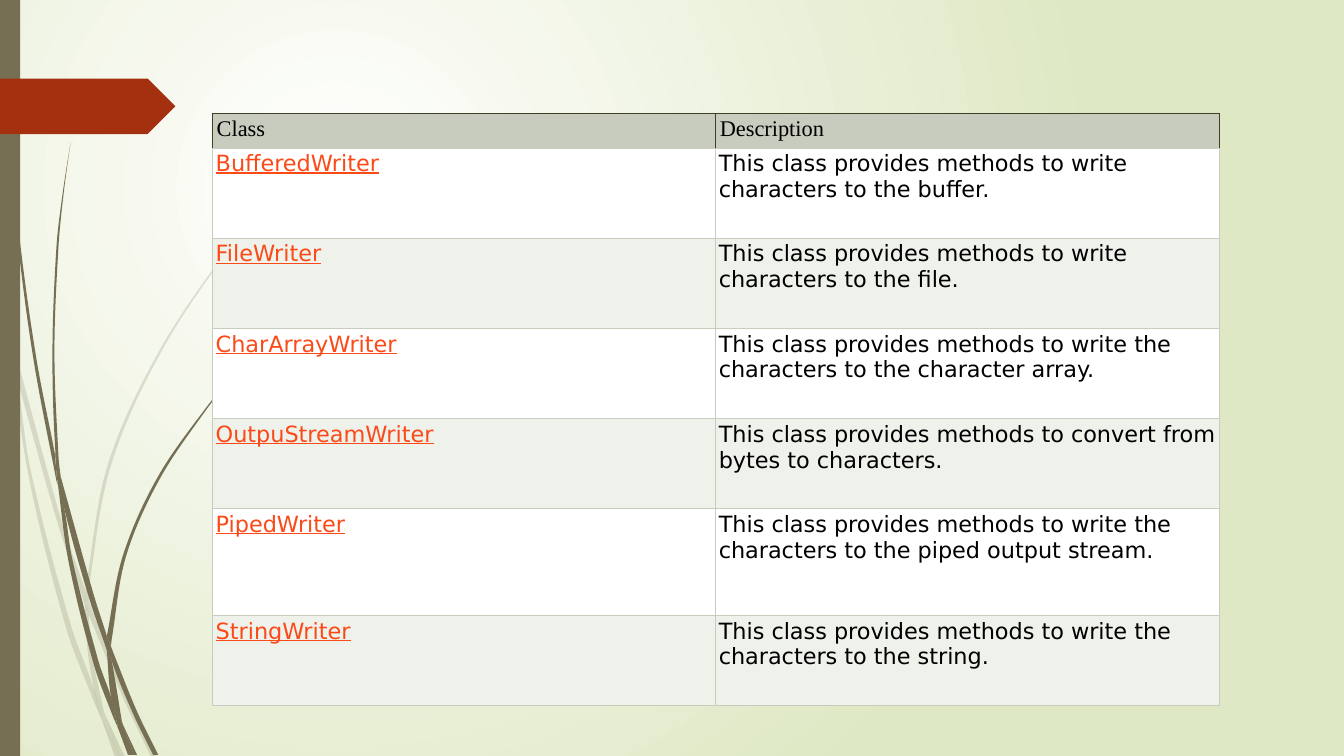
from math import hypot

from lxml.etree import SubElement
from pptx import Presentation
from pptx.dml.color import RGBColor
from pptx.enum.shapes import MSO_SHAPE
from pptx.oxml import parse_xml
from pptx.oxml.ns import nsdecls, qn
from pptx.util import Inches, Pt

OLIVE, RUST, SAGE, INK = "766F54", "A53010", "C7CCBE", "000000"
LINK, HEADER_EDGE = "FB4A18", "404025"
ROW_FILLS = ("FFFFFF", "EFF1EB")

# Each piece of grass: the points down one edge, then those back up the other.
PALE_GRASS = [
    ([(0, 2.82), (0.09, 3.22), (0.11, 3.5)], [(0.1, 3.44), (0, 2.99)]),
    ([(0.14, 3.45), (0.62, 5.2), (0.85, 5.86)], [(0.84, 5.99), (0.58, 5.22), (0.17, 3.76)]),
    ([(0.88, 5.96), (0.92, 6.07), (1.27, 6.92), (1.55, 7.51)],
     [(1.5, 7.51), (1.23, 6.94), (0.88, 6.1)]),
    ([(1.05, 7.11), (1.24, 7.51)], [(1.19, 7.51)]),
    ([(0.11, 3.5), (0.17, 3.76), (0.31, 4.69), (0.7, 6.19), (0.93, 6.83), (1.01, 7.14)],
     [(1.01, 7.14), (0.92, 6.93), (0.65, 6.21), (0.28, 4.7), (0.11, 3.5)]),
    ([(0.84, 5.99), (0.88, 6.08), (0.88, 6.1), (0.91, 6.46), (1.03, 7.06), (1.05, 7.11)],
     [(0.96, 6.92), (0.93, 6.83), (0.87, 6.46), (0.84, 5.99)]),
    ([(3.12, 1.53), (2.89, 1.75), (2.68, 1.97), (2.28, 2.44), (1.58, 3.48), (1.07, 4.61),
      (0.85, 5.84), (0.85, 5.86)],
     [(0.88, 5.96), (0.88, 5.84), (1.1, 4.62), (1.6, 3.49), (2.29, 2.45), (2.68, 1.98),
      (2.9, 1.75), (3.12, 1.54)]),
    ([(1.01, 7.14), (1.14, 7.51)], [(1.19, 7.51), (1.01, 7.14)]),
    ([(0.85, 5.86), (0.84, 5.99), (0.88, 6.08)], [(0.88, 6.1), (0.88, 5.96)]),
    ([(0.93, 6.83), (0.99, 7.07), (1.01, 7.14), (1.19, 7.51)],
     [(1.19, 7.51), (1.05, 7.11), (0.96, 6.92), (0.93, 6.83)]),
]
DARK_GRASS = [
    ([(0.03, 0), (0.04, 0.48), (0.07, 1.1), (0.17, 2.33), (0.33, 3.55), (0.56, 4.77), (0.57, 4.81)],
     [(0.55, 4.57), (0.55, 4.53), (0.36, 3.55), (0.19, 2.32), (0.08, 1.09), (0.05, 0.48), (0.04, 0)]),
    ([(0.6, 4.72), (0.64, 5.05), (0.88, 5.92), (1.06, 6.45)],
     [(1.06, 6.33), (1.06, 6.31), (0.93, 5.9), (0.6, 4.72)]),
    ([(1.1, 6.41), (1.11, 6.56), (1.32, 7.08), (1.52, 7.49)],
     [(1.57, 7.49), (1.36, 7.06), (1.13, 6.49), (1.1, 6.41)]),
    ([(0.57, 4.77), (0.68, 5.57), (0.93, 6.59), (1.11, 7.08), (1.17, 7.22)],
     [(1.16, 7.17), (1.1, 6.91), (0.98, 6.57), (0.72, 5.56), (0.64, 5.05), (0.57, 4.77)]),
    ([(0.7, 1.41), (0.62, 1.93), (0.56, 2.45), (0.52, 3.49), (0.55, 4.49), (0.6, 4.72)],
     [(0.6, 4.72), (0.58, 4.53), (0.54, 3.49), (0.58, 2.45), (0.63, 1.93), (0.7, 1.41)]),
    ([(1.22, 7.19), (1.33, 7.49)], [(1.36, 7.49), (1.22, 7.19)]),
    ([(0.55, 4.49), (0.55, 4.53), (0.57, 4.77), (0.64, 5.05)], [(0.6, 4.72), (0.55, 4.49)]),
    ([(2.6, 3.44), (2.45, 3.58), (2.31, 3.73), (2.04, 4.05), (1.56, 4.74), (1.22, 5.51), (1.06, 6.31)],
     [(1.1, 6.41), (1.11, 6.33), (1.25, 5.52), (1.58, 4.76), (2.05, 4.06), (2.31, 3.74),
      (2.45, 3.59), (2.61, 3.44)]),
    ([(1.17, 7.22), (1.27, 7.49)], [(1.31, 7.49), (1.17, 7.22)]),
    ([(1.06, 6.45), (1.1, 6.91), (1.16, 7.06), (1.22, 7.19)],
     [(1.21, 7.16), (1.11, 6.56), (1.09, 6.51), (1.06, 6.45)]),
    ([(1.06, 6.31), (1.06, 6.45), (1.09, 6.51), (1.11, 6.56)], [(1.1, 6.41), (1.06, 6.31)]),
    ([(1.1, 6.91), (1.16, 7.17), (1.17, 7.22), (1.3, 7.49)],
     [(1.33, 7.49), (1.22, 7.19), (1.16, 7.06), (1.1, 6.91)]),
]

HEADINGS = ("Class", "Description")
WRITERS = [
    ("BufferedWriter", "This class provides methods to write characters to the buffer."),
    ("FileWriter", "This class provides methods to write characters to the file."),
    ("CharArrayWriter", "This class provides methods to write the characters to the character array."),
    ("OutpuStreamWriter", "This class provides methods to convert from bytes to characters."),
    ("PipedWriter", "This class provides methods to write the characters to the piped output stream."),
    ("StringWriter", "This class provides methods to write the characters to the string."),
]
HEADER_HEIGHT, PIPED_HEIGHT = 0.35, 1.06


def rgb(colour):
    return RGBColor.from_string(colour)


def paint(shape, colour, opacity=100):
    shape.shadow.inherit = False
    shape.fill.solid()
    shape.fill.fore_color.rgb = rgb(colour)
    shape.line.fill.background()
    if opacity < 100:
        swatch = shape.fill._xPr.find(qn("a:solidFill"))[0]
        SubElement(swatch, qn("a:alpha"), val=str(opacity * 1000))


def set_background(slide):
    """Radial gradient from white near the upper left to pale green."""
    slide.background.fill.solid()
    properties = slide.background.fill._xPr
    properties.replace(properties.find(qn("a:solidFill")), parse_xml(
        f'<a:gradFill {nsdecls("a")} rotWithShape="1"><a:gsLst>'
        '<a:gs pos="0"><a:srgbClr val="FFFFFF"/></a:gs>'
        '<a:gs pos="100000"><a:srgbClr val="DFE8C4"/></a:gs></a:gsLst>'
        '<a:path path="circle"><a:fillToRect l="50000" t="50000" r="100000" b="100000"/>'
        '</a:path></a:gradFill>'))


def edge_controls(edge):
    """Bezier control points for each step of a smooth edge."""
    ends = [edge[0], *edge, edge[-1]]
    controls = []
    for a, b, c, d in zip(ends, ends[1:], ends[2:], ends[3:]):
        third = hypot(c[0] - b[0], c[1] - b[1]) / 3
        lead, trail = third / hypot(c[0] - a[0], c[1] - a[1]), third / hypot(d[0] - b[0], d[1] - b[1])
        controls.append([tuple(q + lead * (r - p) for p, q, r in zip(a, b, c)),
                         tuple(r - trail * (s - q) for q, r, s in zip(b, c, d))])
    return controls


def add_grass(slide, left, top, edges, opacity):
    down, up = ([(Inches(left + x), Inches(top + y)) for x, y in edge] for edge in edges)
    outline = down + up
    builder = slide.shapes.build_freeform(*outline[0])
    builder.add_line_segments(outline[1:], close=True)
    grass = builder.convert_to_shape()
    controls = edge_controls(down) + [None] + edge_controls(up)
    for line, pair in zip(list(grass._element.iter(qn("a:lnTo"))), controls):
        if pair:
            line.tag = qn("a:cubicBezTo")
            for i, (x, y) in enumerate(pair):
                line.insert(i, parse_xml(
                    f'<a:pt {nsdecls("a")} x="{round(x - grass.left)}" y="{round(y - grass.top)}"/>'))
    paint(grass, OLIVE, opacity)


def add_side_decoration(slide, left, top, width, height):
    for pieces, opacity in ((PALE_GRASS, 20), (DARK_GRASS, 100)):
        for edges in pieces:
            add_grass(slide, left, top, edges, opacity)
    for kind, y, w, h, colour in (
        (MSO_SHAPE.RECTANGLE, 0, 0.2, height, OLIVE),
        (MSO_SHAPE.PENTAGON, 0.78, width, 0.55, RUST),
    ):
        paint(slide.shapes.add_shape(
            kind, Inches(left), Inches(top + y), Inches(w), Inches(h)), colour)


def set_borders(cell, sides, bottom):
    properties = cell._tc.get_or_add_tcPr()
    for i, (edge, colour) in enumerate(zip("LRTB", (sides, sides, sides, bottom))):
        properties.insert(i, parse_xml(
            f'<a:ln{edge} {nsdecls("a")} w="{Pt(0.6)}"><a:solidFill>'
            f'<a:srgbClr val="{colour}"/></a:solidFill></a:ln{edge}>'))


def fill_cell(cell, text, fill, font_name, colour, inset, edge, underline=False):
    cell.text = text
    cell.fill.solid()
    cell.fill.fore_color.rgb = rgb(fill)
    cell.margin_left = cell.margin_right = Inches(inset)
    cell.margin_top = cell.margin_bottom = Inches(inset)
    font = cell.text_frame.paragraphs[0].font
    font.name, font.size, font.bold = font_name, Pt(16), False
    font.underline = underline
    font.color.rgb = rgb(colour)
    set_borders(cell, edge, SAGE)


def add_writer_table(slide, left, top, width, height):
    table = slide.shapes.add_table(
        len(WRITERS) + 1, len(HEADINGS), Inches(left), Inches(top),
        Inches(width), Inches(height)).table
    table.first_row = table.horz_banding = False
    table.rows[0].height = Inches(HEADER_HEIGHT)
    for column, heading in enumerate(HEADINGS):
        fill_cell(table.cell(0, column), heading, SAGE, "Times New Roman", INK,
                  0.04, HEADER_EDGE)
    usual_height = (height - HEADER_HEIGHT - PIPED_HEIGHT) / (len(WRITERS) - 1)
    for row, writer in enumerate(WRITERS, start=1):
        table.rows[row].height = Inches(PIPED_HEIGHT if writer[0] == "PipedWriter" else usual_height)
        for column, text in enumerate(writer):
            is_link = column == 0
            fill_cell(table.cell(row, column), text, ROW_FILLS[(row - 1) % 2], "DejaVu Sans",
                      LINK if is_link else INK, 0.03, SAGE, underline=is_link)


def main():
    deck = Presentation()
    deck.slide_width, deck.slide_height = Inches(13.33), Inches(7.5)
    slide = deck.slides.add_slide(deck.slide_layouts[6])
    set_background(slide)
    add_side_decoration(slide, left=0, top=0, width=1.74, height=7.5)
    add_writer_table(slide, left=2.11, top=1.12, width=9.98, height=5.88)
    deck.save("out.pptx")


if __name__ == "__main__":
    main()
